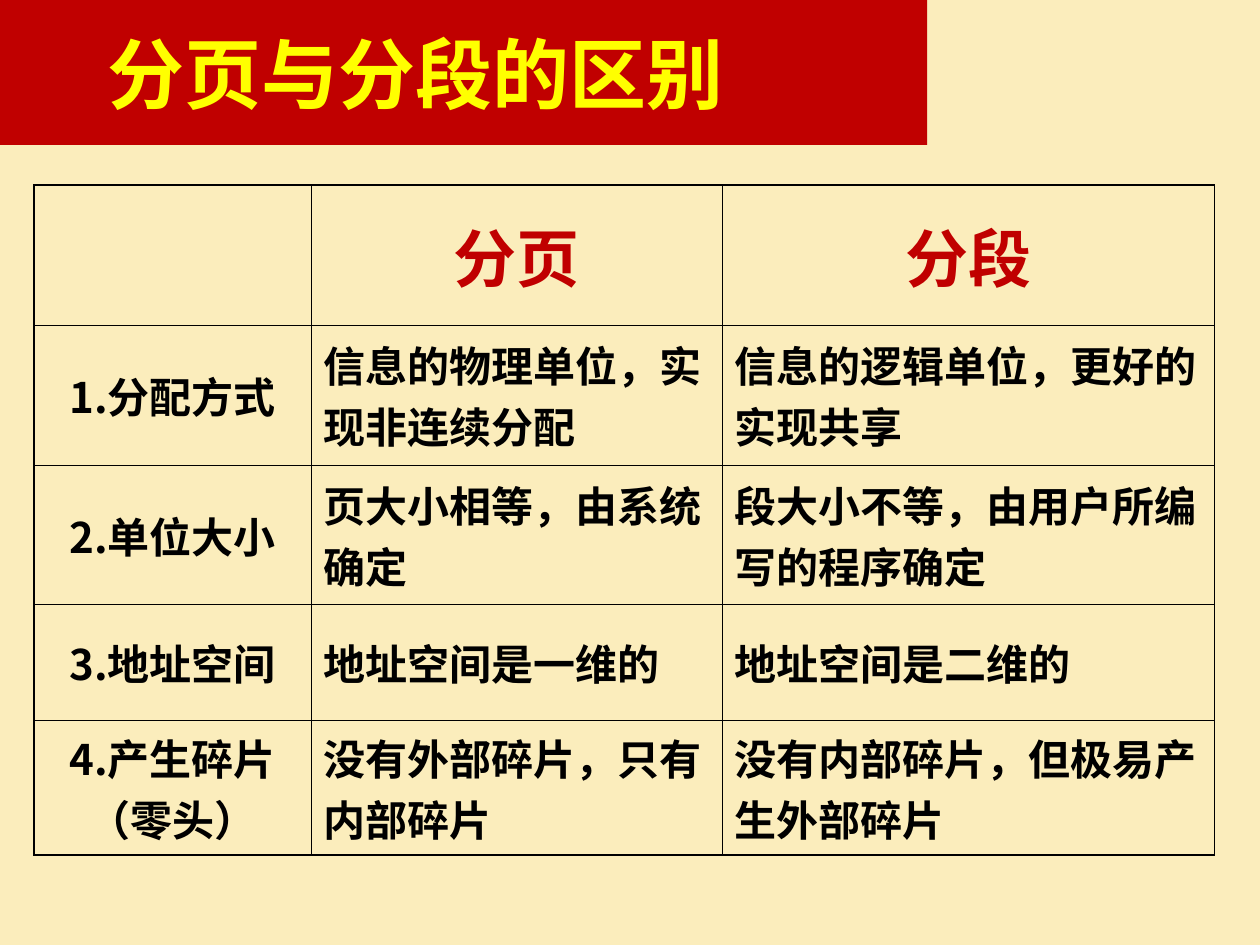
from lxml import etree
from pptx import Presentation
from pptx.dml.color import RGBColor
from pptx.enum import shapes, text
from pptx.oxml.ns import qn
from pptx.util import Inches, Pt

FONT = "Noto Sans CJK SC"
COLORS = {"back": "FBEDBC", "red": "C00000", "yellow": "FFFF00", "black": "000000"}
WIDTH, HEIGHT = 10, 7.5
COLUMNS = [2.2, 3.26, 3.91]
ROWS = [1.11, 1.11, 1.11, 0.92, 0.92]
THICK, THIN = 1.08, 0.45
CELLS = [
    ["", "分页", "分段"],
    ["1.分配方式", "信息的物理单位，实现非连续分配", "信息的逻辑单位，更好的实现共享"],
    ["2.单位大小", "页大小相等，由系统确定", "段大小不等，由用户所编写的程序确定"],
    ["3.地址空间", "地址空间是一维的", "地址空间是二维的"],
    ["4.产生碎片（零头）", "没有外部碎片，只有内部碎片", "没有内部碎片，但极易产生外部碎片"],
]


def rgb(name):
    return RGBColor.from_string(COLORS[name])


def apply(obj, values):
    for key, value in values.items():
        setattr(obj, key, value)


def write(tf, words, size, color, para):
    p = tf.paragraphs[0]
    apply(p, para)
    r = p.add_run()
    r.text = words
    apply(r.font, {"name": FONT, "size": Pt(size), "bold": True})
    r.font.color.rgb = rgb(color)
    ea = etree.SubElement(r.font._element, qn("a:ea"))
    ea.set("typeface", FONT)


def set_borders(cell, widths):
    props = cell._tc.get_or_add_tcPr()
    for i, (side, width) in enumerate(widths.items()):
        ln = etree.Element(qn(f"a:ln{side}"), w=str(Pt(width)))
        fill = etree.SubElement(ln, qn("a:solidFill"))
        etree.SubElement(fill, qn("a:srgbClr"), val=COLORS["black"])
        props.insert(i, ln)


def add_heading(s, box):
    x, y, w, h = box
    band = s.shapes.add_shape(shapes.MSO_SHAPE.RECTANGLE, x, y, w, h)
    band.shadow.inherit = False
    band.fill.solid()
    band.fill.fore_color.rgb = rgb("red")
    band.line.fill.background()
    s.shapes._spTree.insert(2, band._element)

    title = s.shapes.title
    apply(title, {"left": x + int(w * 0.102), "top": y + int(h * 0.217),
                  "width": int(w * 0.77), "height": int(h * 0.574)})
    apply(title.text_frame, {"word_wrap": True, "auto_size": text.MSO_AUTO_SIZE.NONE,
                             "vertical_anchor": text.MSO_ANCHOR.MIDDLE})
    write(title.text_frame, "分页与分段的区别", 44, "yellow", {"alignment": text.PP_ALIGN.LEFT})


def add_comparison(s, box):
    x, y, w, h = box
    table = s.shapes.add_table(len(ROWS), len(COLUMNS), x, y, w, h).table
    apply(table, {"first_row": False, "horz_banding": False})
    for column, share in zip(table.columns, COLUMNS):
        column.width = int(w * share / sum(COLUMNS))
    for row, share in zip(table.rows, ROWS):
        row.height = int(h * share / sum(ROWS))
    last_row, last_col = len(ROWS) - 1, len(COLUMNS) - 1
    for i, words in enumerate(CELLS):
        for j, word in enumerate(words):
            cell = table.cell(i, j)
            cell.fill.background()
            cell.vertical_anchor = text.MSO_ANCHOR.MIDDLE
            outer = {"L": j == 0, "R": j == last_col, "T": i == 0, "B": i == last_row}
            set_borders(cell, {side: THICK if edge else THIN for side, edge in outer.items()})
            if word:
                centred = i == 0 or j == 0
                size, color, before = (36, "red", 9) if i == 0 else (24, "black", 6)
                align = text.PP_ALIGN.CENTER if centred else text.PP_ALIGN.LEFT
                write(cell.text_frame, word, size, color,
                      {"alignment": align, "space_before": Pt(before)})


def main():
    prs = Presentation()
    apply(prs, {"slide_width": Inches(WIDTH), "slide_height": Inches(HEIGHT)})
    s = prs.slides.add_slide(prs.slide_layouts.get_by_name("Title Only"))
    s.background.fill.solid()
    s.background.fill.fore_color.rgb = rgb("back")
    add_heading(s, (0, 0, Inches(WIDTH * 0.736), Inches(1.15)))
    add_comparison(s, (Inches(0.27), Inches(1.47), Inches(sum(COLUMNS)), Inches(sum(ROWS))))
    prs.save("out.pptx")


if __name__ == "__main__":
    main()
